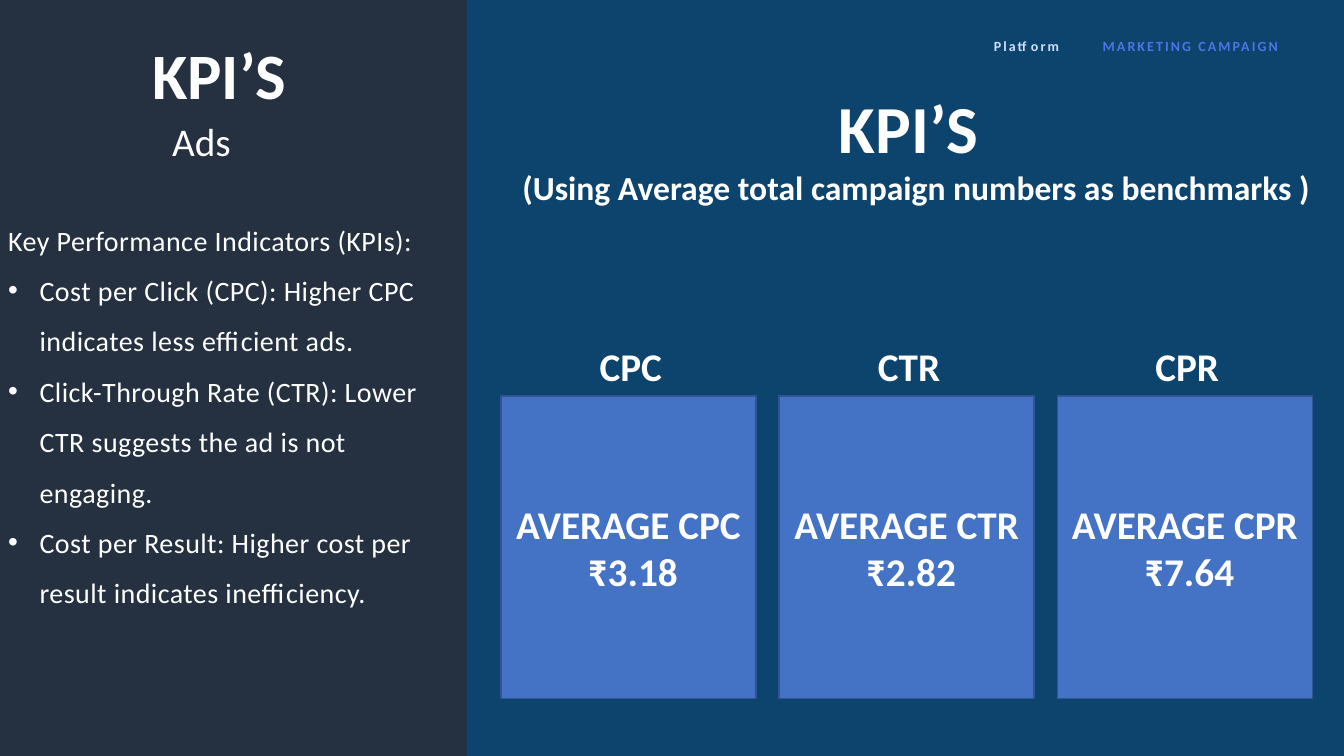
from lxml import etree
from pptx import Presentation
from pptx import util as u
from pptx.dml.color import RGBColor
from pptx.enum import shapes, text
from pptx.oxml.ns import qn

COLOURS = {
    "background": "0D446E",
    "panel": "253140",
    "card": "4472C4",
    "card edge": "325491",
    "white": "FFFFFF",
    "pale blue": "CFE1FD",
    "bright blue": "4E74E6",
}
FONT = "Calibri"
CENTER = text.PP_ALIGN.CENTER

CARD_LEFT, CARD_TOP, CARD_STEP = 357.8, 283, 198.7
CARD_WIDTH, CARD_HEIGHT = 182.2, 216
LABEL_WIDTH, LABEL_HEIGHT = 118, 41

KPIS = [("CPC", "₹3.18"), ("CTR", "₹2.82"), ("CPR", "₹7.64")]
DEFINITIONS = [
    "Cost per Click (CPC): Higher CPC indicates less efficient ads.",
    "Click-Through Rate (CTR): Lower CTR suggests the ad is not engaging.",
    "Cost per Result: Higher cost per result indicates inefficiency.",
]


def rgb(name):
    return RGBColor.from_string(COLOURS[name])


def add_rect(slide, left, top, width, height, fill, edge=None):
    rect = slide.shapes.add_shape(shapes.MSO_SHAPE.RECTANGLE, u.Pt(left),
                                  u.Pt(top), u.Pt(width), u.Pt(height))
    rect.shadow.inherit = False
    rect.fill.solid()
    rect.fill.fore_color.rgb = rgb(fill)
    if edge:
        rect.line.color.rgb = rgb(edge)
        rect.line.width = u.Pt(1)
    else:
        rect.line.fill.background()
    return rect


def add_text_frame(slide, left, top, width, height, inset=True):
    box = slide.shapes.add_textbox(u.Pt(left), u.Pt(top), u.Pt(width), u.Pt(height))
    frame = box.text_frame
    frame.word_wrap = True
    if not inset:
        frame.margin_left = frame.margin_right = 0
        frame.margin_top = frame.margin_bottom = 0
    return frame


def write(frame, words, size, bold=False, colour="white", align=None,
          line_spacing=None, tracking=0, bullet=False):
    """Fill the frame's first paragraph, or add one when that is taken."""
    paragraph = frame.paragraphs[0]
    if paragraph.runs:
        paragraph = frame.add_paragraph()
    if bullet:
        props = paragraph._p.get_or_add_pPr()
        indent = u.Pt(22.5)
        props.set("marL", str(indent))
        props.set("indent", str(-indent))
        etree.SubElement(props, qn("a:buFont")).set("typeface", "Arial")
        etree.SubElement(props, qn("a:buChar")).set("char", "•")
    paragraph.alignment = align
    paragraph.line_spacing = line_spacing
    run = paragraph.add_run()
    run.text = words
    run.font.name = FONT
    run.font.size = u.Pt(size)
    run.font.bold = bold
    run.font.color.rgb = rgb(colour)
    if tracking:
        run._r.get_or_add_rPr().set("spc", str(round(tracking * 100)))


def add_header_tag(slide, left, words, colour):
    frame = add_text_frame(slide, left, 29.5, 152, 9.4, inset=False)
    write(frame, words, 10, True, colour, line_spacing=u.Pt(9.4), tracking=1.5)


def add_side_panel(slide):
    add_rect(slide, 0, 0, 333.4, 540, "panel")
    title = add_text_frame(slide, 22.3, 33.8, 268.6, 48.2, inset=False)
    write(title, "KPI’S", 46.2, True, align=CENTER, line_spacing=u.Pt(46.7))
    subtitle = add_text_frame(slide, 48.2, 79.9, 191.5, 41)
    write(subtitle, "Ads", 28, align=CENTER)
    body = add_text_frame(slide, 5.8, 161.3, 324.7, 298.8, inset=False)
    write(body, "Key Performance Indicators (KPIs):", 20,
          line_spacing=u.Pt(22), tracking=0.3)
    for definition in DEFINITIONS:
        write(body, definition, 20, line_spacing=1.5, tracking=0.3, bullet=True)


def add_kpi_card(slide, left, name, value):
    label = add_text_frame(slide, left + (CARD_WIDTH - LABEL_WIDTH) / 2 + 1.7,
                           CARD_TOP - LABEL_HEIGHT - 0.8, LABEL_WIDTH, LABEL_HEIGHT)
    write(label, name, 28, True, align=CENTER)
    card = add_rect(slide, left, CARD_TOP, CARD_WIDTH, CARD_HEIGHT, "card", "card edge")
    frame = card.text_frame
    frame.word_wrap = True
    frame.vertical_anchor = text.MSO_ANCHOR.MIDDLE
    for line in (f"AVERAGE {name}", f" {value}"):
        write(frame, line, 28, True, align=CENTER)


def main():
    deck = Presentation()
    deck.slide_width, deck.slide_height = u.Pt(960), u.Pt(540)
    slide = deck.slides.add_slide(deck.slide_layouts[6])
    slide.background.fill.solid()
    slide.background.fill.fore_color.rgb = rgb("background")

    add_side_panel(slide)
    add_header_tag(slide, 709.9, "Platform", "pale blue")
    add_header_tag(slide, 787.7, "MARKETING CAMPAIGN", "bright blue")
    for index, (name, value) in enumerate(KPIS):
        add_kpi_card(slide, CARD_LEFT + index * CARD_STEP, name, value)

    heading = add_text_frame(slide, 348.5, 58.3, 612, 152.6)
    write(heading, "KPI’S ", 48, True, align=CENTER)
    write(heading, "(Using Average total campaign numbers as benchmarks )", 24,
          True, align=CENTER)
    deck.save("out.pptx")


if __name__ == "__main__":
    main()
